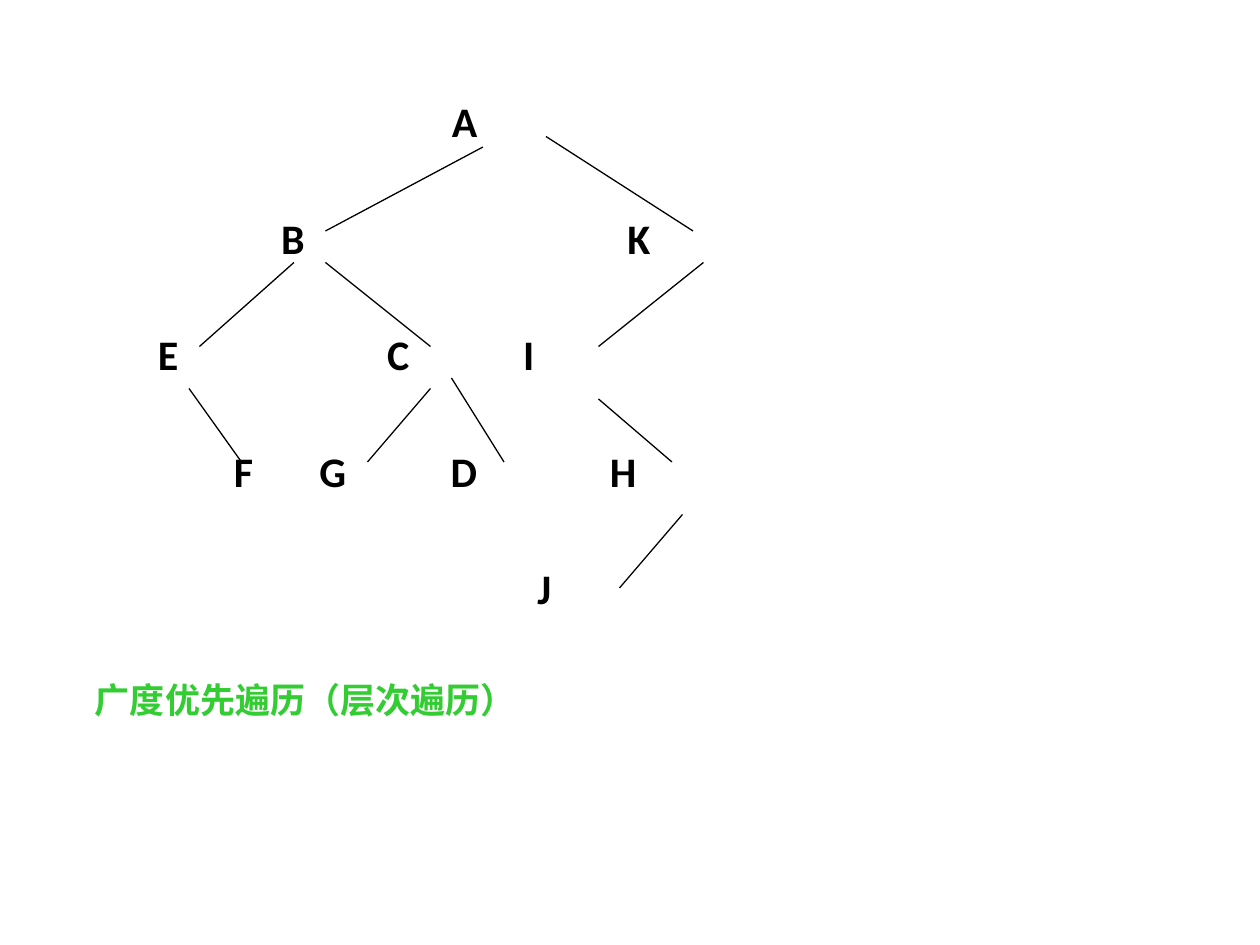
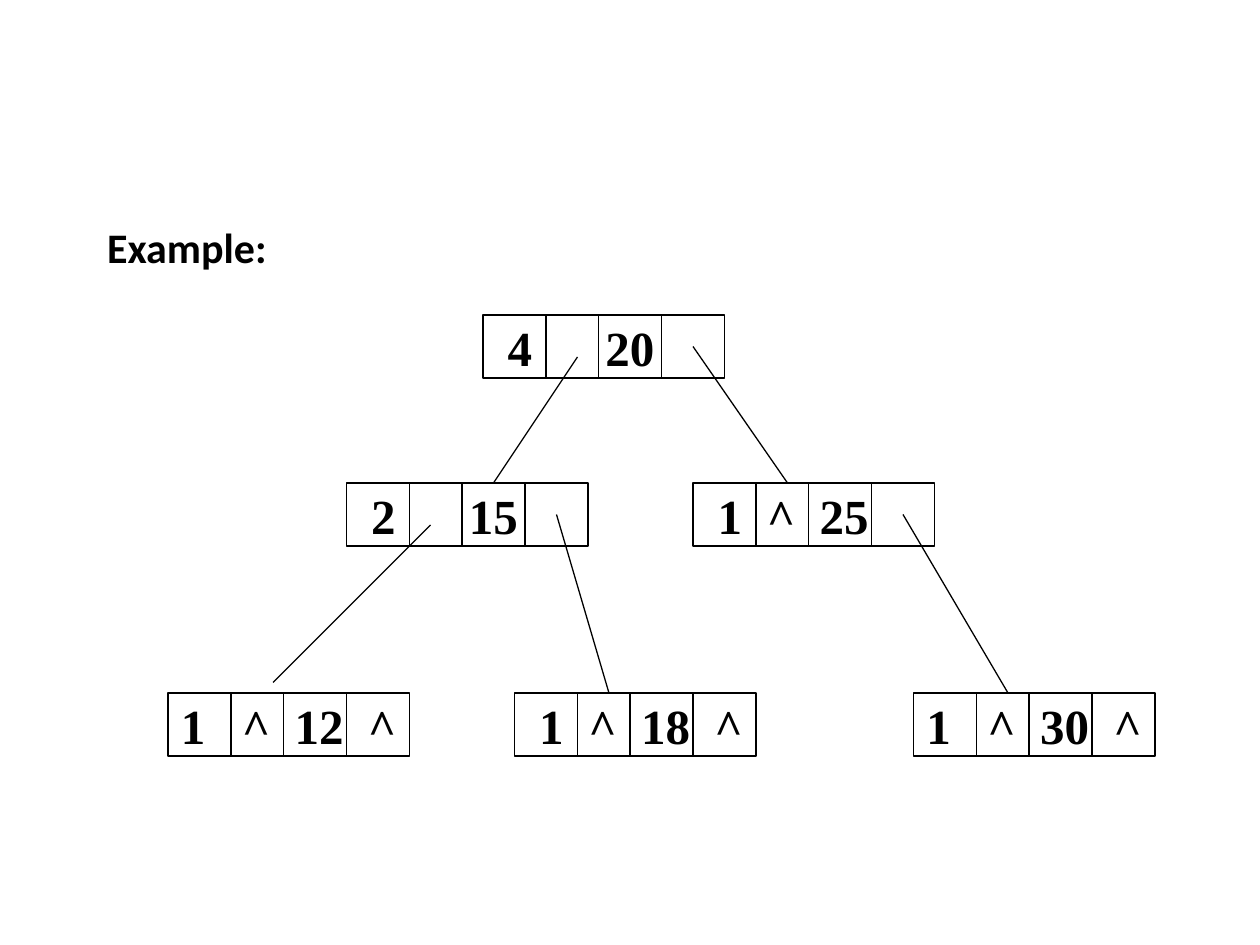
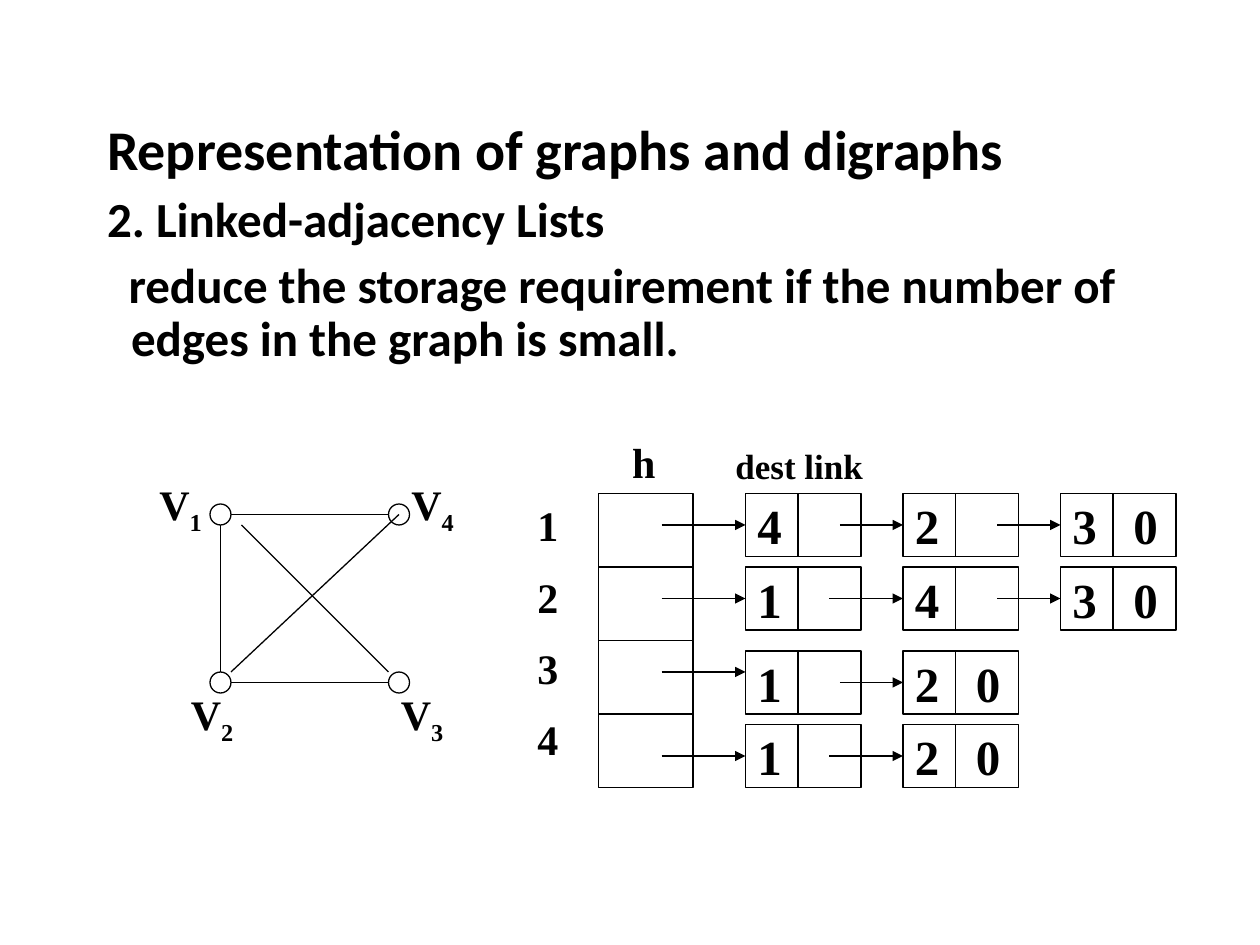
from lxml.etree import SubElement
from pptx import Presentation
from pptx.dml.color import RGBColor
from pptx.enum.shapes import MSO_CONNECTOR, MSO_SHAPE
from pptx.enum.text import MSO_ANCHOR, MSO_AUTO_SIZE, PP_ALIGN
from pptx.oxml.ns import qn
from pptx.util import Inches, Pt

UNITS_PER_INCH = 12
BLACK = "000000"
GREEN = "33CC33"
SANS = "Calibri"
SERIF = "Times New Roman"
LINE_WIDTH = 0.75
TREE_STEP = 5.42

NODE_SIZE = (23, 6)
NODE_DIVIDERS = (6, 11, 17)
LINK_SIZE = (11, 6)
LINK_DIVIDERS = (5,)
LINK_TABS = (2.3, 8.1)
LIST_COLUMNS = (71, 86, 101)


def grid(units):
    return Inches(units / UNITS_PER_INCH)


def color(code):
    return RGBColor.from_string(code)


def place(shape, left, top, width, height):
    shape.left, shape.top = grid(left), grid(top)
    shape.width, shape.height = grid(width), grid(height)


def style_text(para, size, face, shade=BLACK):
    for font in (para.font, *(span.font for span in para.runs)):
        font.size = Pt(size)
        font.name = face
        font.bold = True
        font.color.rgb = color(shade)


def set_tabs(para, stops):
    tabs = SubElement(para._p.get_or_add_pPr(), qn("a:tabLst"))
    for stop in stops:
        SubElement(tabs, qn("a:tab"), pos=str(grid(stop)), algn="ctr")


def set_insets(frame, left, top, right=0.1, bottom=0.05):
    frame.margin_left, frame.margin_top = Inches(left), Inches(top)
    frame.margin_right, frame.margin_bottom = Inches(right), Inches(bottom)


def add_page(deck, title=None):
    page = deck.slides.add_slide(deck.slide_layouts[1])
    heading = page.shapes.title
    if title is None:
        heading._element.getparent().remove(heading._element)
        return page
    place(heading, 9, 10, 102, 9)
    heading.text_frame.text = title
    heading.text_frame.vertical_anchor = MSO_ANCHOR.MIDDLE
    para = heading.text_frame.paragraphs[0]
    para.alignment = PP_ALIGN.LEFT
    para.line_spacing = 0.9
    style_text(para, 32, SANS)
    return page


def prepare_body(page, area, top_inset=0.05):
    body = page.placeholders[1]
    place(body, *area)
    frame = body.text_frame
    frame.auto_size = MSO_AUTO_SIZE.NONE
    set_insets(frame, 0.1, top_inset)
    return frame


def format_body_line(para, size, space_before, indent=0, lead=0):
    properties = para._p.get_or_add_pPr()
    properties.set("marL", str(Inches(indent)))
    properties.set("indent", str(Inches(lead)))
    SubElement(properties, qn("a:buNone"))
    para.line_spacing = 0.9
    para.space_before = Pt(space_before)
    style_text(para, size, SANS)


def add_line(page, start_x, start_y, end_x, end_y, arrow=False):
    line = page.shapes.add_connector(
        MSO_CONNECTOR.STRAIGHT, grid(start_x), grid(start_y), grid(end_x), grid(end_y))
    line.line.color.rgb = color(BLACK)
    line.line.width = Pt(LINE_WIDTH)
    if arrow:
        SubElement(line.line._get_or_add_ln(), qn("a:tailEnd"), type="triangle")
    SubElement(line._element.spPr, qn("a:effectLst"))


def add_outline(page, preset, left, top, width, height):
    shape = page.shapes.add_shape(
        preset, grid(left), grid(top), grid(width), grid(height))
    shape.shadow.inherit = False
    shape.fill.background()
    shape.line.color.rgb = color(BLACK)
    shape.line.width = Pt(LINE_WIDTH)
    return shape


def add_record(page, left, top, size, dividers, fields, stops):
    width, height = size
    record = add_outline(page, MSO_SHAPE.RECTANGLE, left, top, width, height)
    frame = record.text_frame
    frame.word_wrap = True
    frame.vertical_anchor = MSO_ANCHOR.MIDDLE
    set_insets(frame, 0, 0, 0, 0)
    para = frame.paragraphs[0]
    set_tabs(para, stops)
    para.add_run().text = "".join("\t" + field for field in fields)
    para.alignment = PP_ALIGN.LEFT
    style_text(para, 28, SERIF)
    for divider in dividers:
        add_line(page, left + divider, top, left + divider, top + height)


def add_label(page, left, top, width, height, text, size=24, shade=BLACK,
              left_inset=0.1, top_inset=0.05, subscript=None):
    box = page.shapes.add_textbox(grid(left), grid(top), grid(width), grid(height))
    frame = box.text_frame
    frame.word_wrap = True
    set_insets(frame, left_inset, top_inset)
    frame.text = text
    for index, para in enumerate(frame.paragraphs):
        para.space_before = Pt(12 if index else 0)
        if subscript:
            span = para.add_run()
            span.text = subscript
            span.font._element.set("baseline", "-25000")
        style_text(para, size, SERIF, shade)


def add_tree_level(para, names, steps, space_before):
    for index, (name, step) in enumerate(zip(names, steps)):
        if index:
            gap = para.add_run()
            gap.text = " "
            gap.font._element.set("spc", str(round((step - 1) * TREE_STEP * 100)))
        para.add_run().text = name
    format_body_line(para, 24, space_before, indent=steps[0] * TREE_STEP / 72)


def build_traversal(deck):
    page = add_page(deck)
    frame = prepare_body(page, (3, 3, 114, 84), top_inset=0.55)
    levels = [
        ("A", (43,)),
        ("BK", (25, 34)),
        ("ECI", (12, 22, 12)),
        ("FGDH", (20, 7, 11, 14)),
        ("J", (52,)),
    ]
    for index, (names, steps) in enumerate(levels):
        para = frame.add_paragraph() if index else frame.paragraphs[0]
        add_tree_level(para, names, steps, 40.9 if index else 0)
    for edge in [
        (46, 14, 31, 22), (28, 25, 19, 33), (31, 25, 41, 33), (18, 37, 23, 44),
        (41, 37, 35, 44), (43, 36, 48, 44), (52, 13, 66, 22), (67, 25, 57, 33),
        (57, 38, 64, 44), (65, 49, 59, 56),
    ]:
        add_line(page, *edge)
    add_label(page, 7, 64, 99, 5.3, "广度优先遍历（层次遍历）", 20, GREEN, left_inset=0.17)


def build_search_tree(deck):
    page = add_page(deck)
    frame = prepare_body(page, (9, 21, 102, 59))
    frame.text = "Example:"
    format_body_line(frame.paragraphs[0], 24, 0)
    for left, top, fields, count_stop, key_stop in [
        (46, 30, ("4", "", "20"), 3.5, 14),
        (33, 46, ("2", "", "15"), 3.5, 14),
        (66, 46, ("1", "^", "25"), 3.5, 14.4),
        (49, 66, ("1", "^", "18", "^"), 3.5, 14.4),
        (16, 66, ("1", "^", "12", "^"), 2.4, 14.4),
        (87, 66, ("1", "^", "30", "^"), 2.4, 14.4),
    ]:
        stops = (count_stop, 8.4, key_stop, 20.4)
        add_record(page, left, top, NODE_SIZE, NODE_DIVIDERS, fields, stops)
    for edge in [
        (55, 34, 47, 46), (66, 33, 75, 46), (41, 50, 26, 65),
        (53, 49, 58, 66), (86, 49, 96, 66),
    ]:
        add_line(page, *edge)


def draw_graph(page):
    for left in (20, 37):
        for top in (48, 64):
            add_outline(page, MSO_SHAPE.OVAL, left, top, 2, 2)
    for edge in [
        (22, 49, 37, 49), (21, 50, 21, 64), (22, 65, 37, 65),
        (38, 49, 22, 64), (23, 50, 37, 64),
    ]:
        add_line(page, *edge)
    for number, left, top in [("1", 14, 45), ("3", 37, 65), ("2", 17, 65), ("4", 38, 45)]:
        add_label(page, left, top, 7, 6, "V", subscript=number)


def draw_adjacency_lists(page):
    add_label(page, 50, 47, 6, 27.8, "1\n2\n3\n4")
    add_label(page, 56, 41, 9, 6, "h", left_inset=0.35)
    add_label(page, 68, 41, 19, 6, "dest link", 20, left_inset=0.17, top_inset=0.11)
    rows = [
        (47, "423", (50, 50, 50), (63, 80, 95)),
        (54, "143", (57, 57, 57), (63, 79, 95)),
        (62, "12", (64, 65), (63, 80)),
        (69, "12", (72, 72), (63, 79)),
    ]
    for index, (top, vertices, heights, starts) in enumerate(rows):
        add_outline(page, MSO_SHAPE.RECTANGLE, 57, 47 + 7 * index, 9, 7)
        for position, (left, vertex) in enumerate(zip(LIST_COLUMNS, vertices)):
            is_last = position == len(vertices) - 1
            fields = (vertex, "0") if is_last else (vertex,)
            add_record(page, left, top, LINK_SIZE, LINK_DIVIDERS, fields, LINK_TABS)
        for left, start, height in zip(LIST_COLUMNS, starts, heights):
            add_line(page, start, height, left, height, arrow=True)


def build_linked_lists(deck):
    page = add_page(deck, "Representation of graphs and digraphs")
    frame = prepare_body(page, (9, 18, 107, 67))
    frame.text = (
        "2. Linked-adjacency Lists\n"
        "reduce the storage requirement if the number of edges in the graph is small.")
    heading, detail = frame.paragraphs
    format_body_line(heading, 28, 0)
    format_body_line(detail, 28, 7.5, indent=0.19, lead=-0.02)
    draw_graph(page)
    draw_adjacency_lists(page)


def main():
    deck = Presentation()
    deck.slide_width, deck.slide_height = grid(120), grid(90)
    build_traversal(deck)
    build_search_tree(deck)
    build_linked_lists(deck)
    deck.save("out.pptx")


main()
